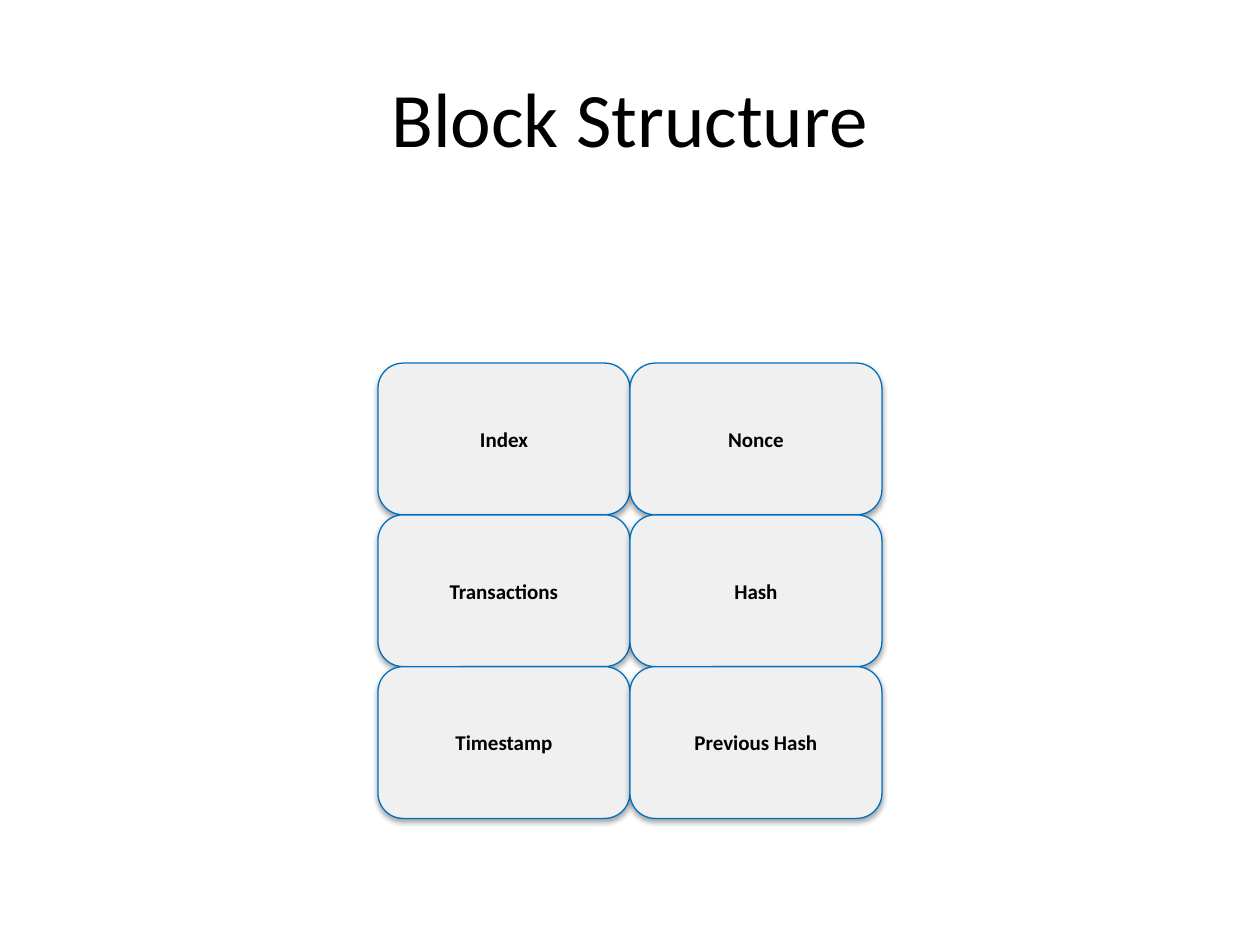
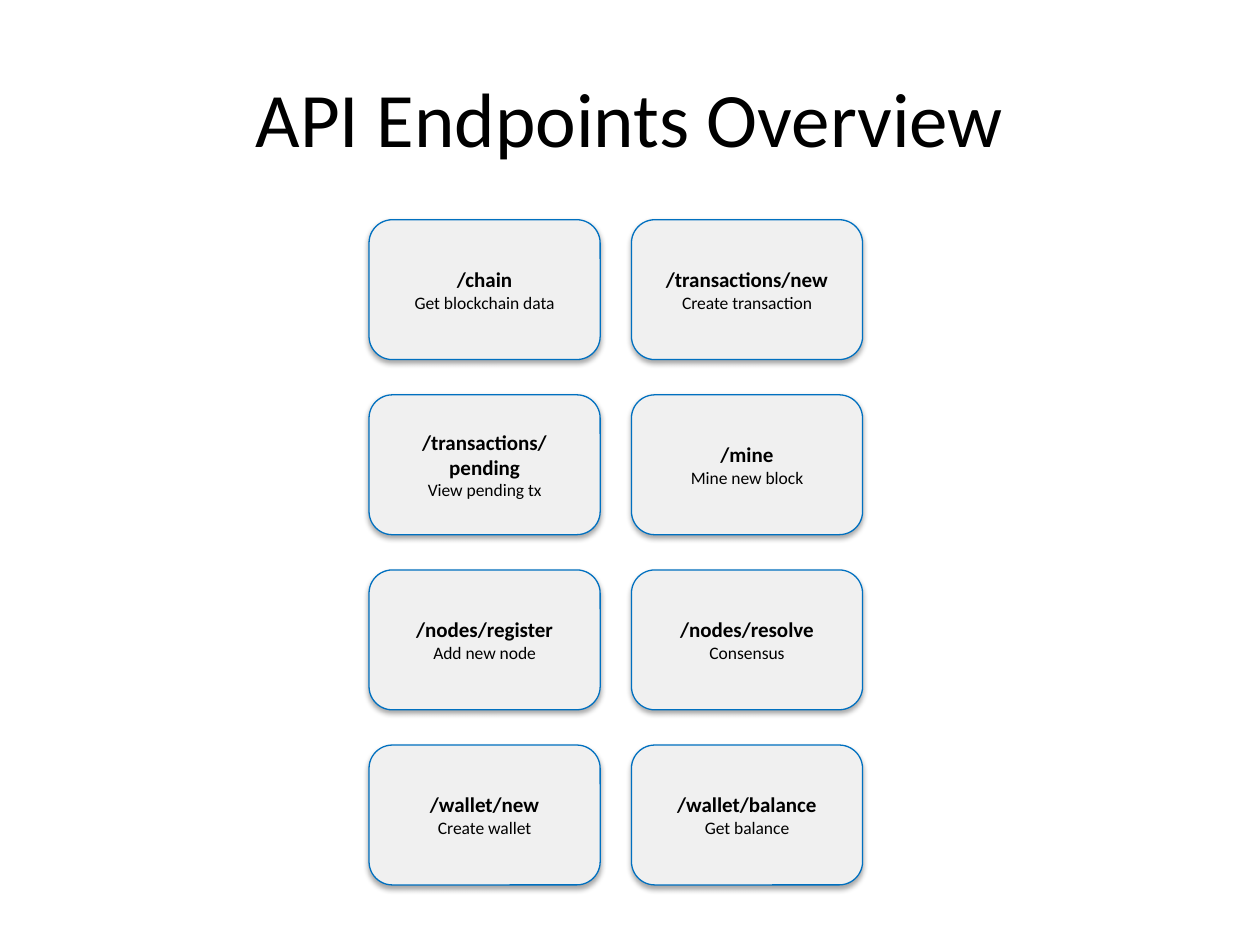
from lxml import etree
from pptx import Presentation
from pptx.dml.color import RGBColor
from pptx.enum import shapes, text
from pptx.oxml.ns import qn
from pptx.util import Cm, Pt

FONT = "Calibri"
BLACK, CARD_FILL, CARD_LINE = "000000", "F0F0F0", "0070C0"
TITLE_STYLE = {"size": Pt(44), "bold": False}
NAME_STYLE = {"size": Pt(12), "bold": True}
DETAIL_STYLE = {"size": Pt(10), "bold": False}
TITLE_AREA = (1.27, 0.76, 22.86, 3.18)
COLUMNS = 2

# Each card holds a name and, where there is one, a detail line.
# Grid lengths are in centimetres; a step is a card plus the gap after it.
SLIDES = [
    {
        "title": "Block Structure",
        "grid": {"origin": (7.62, 7.32), "card": (5.08, 3.06), "step": (5.08, 3.06)},
        "cards": [
            ("Index",), ("Nonce",),
            ("Transactions",), ("Hash",),
            ("Timestamp",), ("Previous Hash",),
        ],
    },
    {
        "title": "API Endpoints Overview",
        "grid": {"origin": (7.44, 4.43), "card": (4.66, 2.82), "step": (5.29, 3.53)},
        "cards": [
            ("/chain", "Get blockchain data"),
            ("/transactions/new", "Create transaction"),
            ("/transactions/pending", "View pending tx"),
            ("/mine", "Mine new block"),
            ("/nodes/register", "Add new node"),
            ("/nodes/resolve", "Consensus"),
            ("/wallet/new", "Create wallet"),
            ("/wallet/balance", "Get balance"),
        ],
    },
]


def color(value):
    return RGBColor.from_string(value)


def write(shape, lines):
    """Fill a shape with centred paragraphs given as (words, style) pairs."""
    frame = shape.text_frame
    frame.word_wrap = True
    frame.vertical_anchor = text.MSO_ANCHOR.MIDDLE
    for number, (words, style) in enumerate(lines):
        para = frame.add_paragraph() if number else frame.paragraphs[0]
        para.alignment = text.PP_ALIGN.CENTER
        span = para.add_run()
        span.text = words
        span.font.name = FONT
        span.font.color.rgb = color(BLACK)
        for attribute, value in style.items():
            setattr(span.font, attribute, value)


def add_soft_shadow(shape):
    shape.shadow.inherit = False
    effects = shape._element.spPr.find(qn("a:effectLst"))
    shadow = etree.SubElement(
        effects, qn("a:outerShdw"),
        blurRad=str(Pt(3.1)), dist=str(Pt(1.8)), dir="5400000", rotWithShape="0",
    )
    tint = etree.SubElement(shadow, qn("a:srgbClr"), val=BLACK)
    etree.SubElement(tint, qn("a:alpha"), val="35000")


def add_card(page, area, lines):
    card = page.shapes.add_shape(shapes.MSO_SHAPE.ROUNDED_RECTANGLE, *map(Cm, area))
    card.fill.solid()
    card.fill.fore_color.rgb = color(CARD_FILL)
    card.line.color.rgb = color(CARD_LINE)
    card.line.width = Pt(0.75)
    add_soft_shadow(card)
    write(card, zip(lines, (NAME_STYLE, DETAIL_STYLE)))


def add_page(deck, content):
    page = deck.slides.add_slide(deck.slide_layouts[6])
    title = page.shapes.add_textbox(*map(Cm, TITLE_AREA))
    write(title, [(content["title"], TITLE_STYLE)])

    grid = content["grid"]
    (left, top), (step_x, step_y) = grid["origin"], grid["step"]
    for number, lines in enumerate(content["cards"]):
        row, column = divmod(number, COLUMNS)
        area = (left + column * step_x, top + row * step_y, *grid["card"])
        add_card(page, area, lines)


def main():
    deck = Presentation()
    deck.slide_width, deck.slide_height = Cm(25.4), Cm(19.05)
    for content in SLIDES:
        add_page(deck, content)
    deck.save("out.pptx")


if __name__ == "__main__":
    main()
